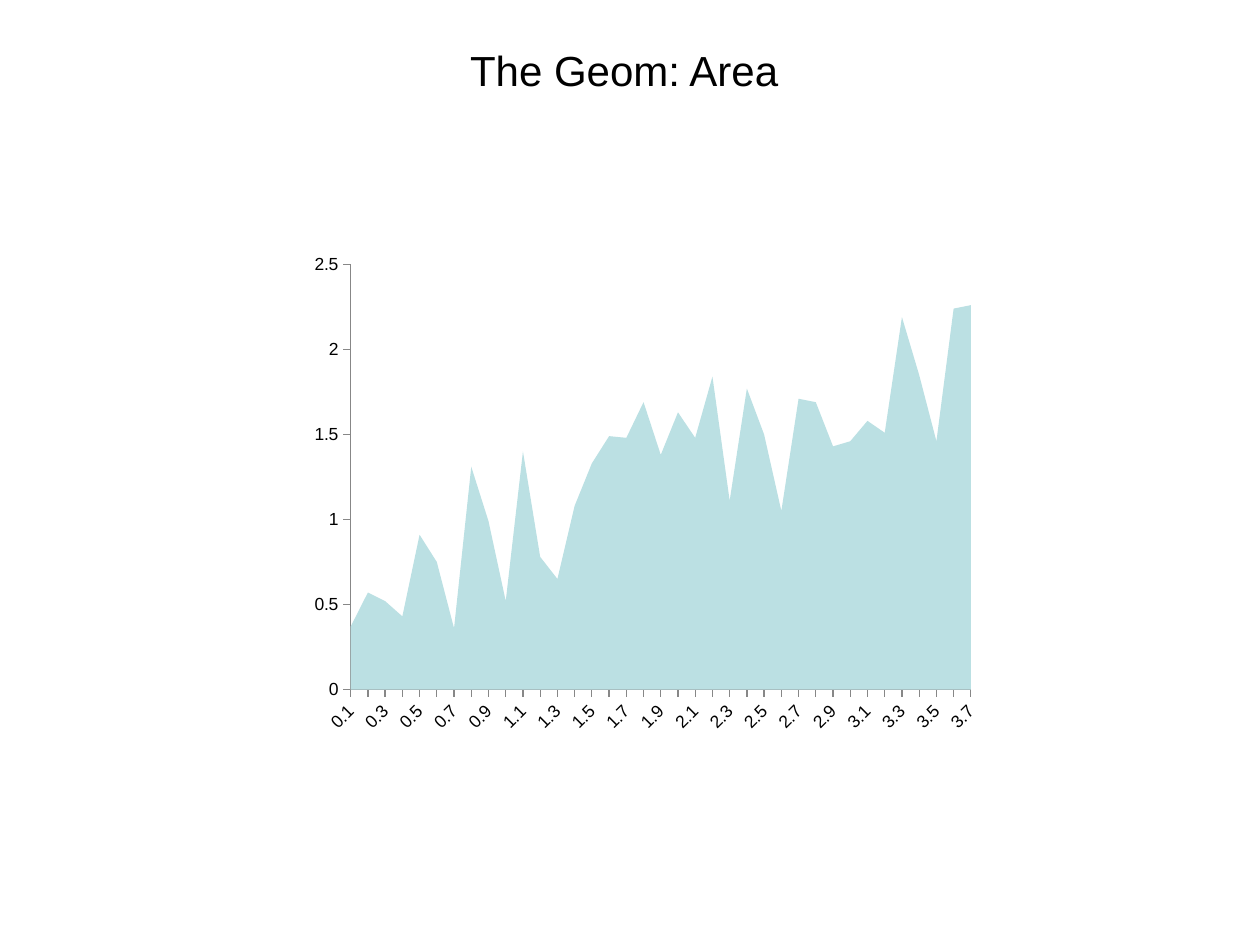
"""Build a slide with a centred title and a single-series area chart."""
from lxml import etree
from pptx import Presentation
from pptx import util as u
from pptx.chart import data as chart_data
from pptx.dml.color import RGBColor
from pptx.enum import chart as charts, text
from pptx.oxml.ns import qn

BLACK = RGBColor(0x00, 0x00, 0x00)
GREY = RGBColor(0x87, 0x87, 0x87)
PALE_TEAL = RGBColor(0xBB, 0xE0, 0xE3)

VALUES = [
    0.37, 0.57, 0.52, 0.43, 0.91, 0.75, 0.36, 1.31, 0.99, 0.52,
    1.4, 0.78, 0.65, 1.08, 1.33, 1.49, 1.48, 1.69, 1.38, 1.63,
    1.48, 1.84, 1.11, 1.77, 1.5, 1.05, 1.71, 1.69, 1.43, 1.46,
    1.58, 1.51, 2.19, 1.85, 1.46, 2.24, 2.26,
]
PLOT_SHARES = {"x": 0.07, "y": 0.04, "w": 0.9, "h": 0.85}


def set_format(target, values):
    for name, value in values.items():
        setattr(target, name, value)


presentation = Presentation()
set_format(presentation, {"slide_width": u.Inches(10), "slide_height": u.Inches(7.5)})
width, height = presentation.slide_width, presentation.slide_height
slide = presentation.slides.add_slide(presentation.slide_layouts[5])

title = slide.shapes.title
set_format(title, {
    "left": int(width * 0.05), "top": int(height * 0.04),
    "width": int(width * 0.9), "height": u.Inches(1.25),
})
set_format(title.text_frame, {
    "text": "The Geom: Area ", "word_wrap": True,
    "vertical_anchor": text.MSO_ANCHOR.TOP, "auto_size": text.MSO_AUTO_SIZE.NONE,
})
paragraph = title.text_frame.paragraphs[0]
paragraph.alignment = text.PP_ALIGN.CENTER
font = paragraph.runs[0].font
set_format(font, {"name": "Arial", "size": u.Pt(24)})
font.color.rgb = BLACK

area_data = chart_data.CategoryChartData()
area_data.categories = [f"{step / 10:g}" for step in range(1, len(VALUES) + 1)]
area_data.add_series("Series 1", VALUES)
chart = slide.shapes.add_chart(
    charts.XL_CHART_TYPE.AREA, u.Inches(2.4), u.Inches(1.94),
    u.Inches(5.47), u.Inches(3.97), area_data,
).chart
set_format(chart, {"has_legend": False, "has_title": False})
set_format(chart.font, {"name": "Arial", "size": u.Pt(10)})
chart.font.color.rgb = BLACK
chart.plots[0].vary_by_categories = False
fill = chart.plots[0].series[0].format.fill
fill.solid()
fill.fore_color.rgb = PALE_TEAL

for axis in (chart.category_axis, chart.value_axis):
    set_format(axis, {
        "has_major_gridlines": False, "has_minor_gridlines": False,
        "major_tick_mark": charts.XL_TICK_MARK.OUTSIDE,
        "minor_tick_mark": charts.XL_TICK_MARK.NONE,
    })
    axis.format.line.color.rgb = GREY
    axis.format.line.width = u.Pt(0.75)
set_format(chart.value_axis, {"minimum_scale": 0, "maximum_scale": 2.5, "major_unit": 0.5})
labels = chart.value_axis.tick_labels
set_format(labels, {"number_format": "General", "number_format_is_linked": False})

label_font = chart.category_axis.tick_labels.font
set_format(label_font, {"name": "Arial", "size": u.Pt(10)})
label_font.color.rgb = BLACK
plot_area = chart.plots[0]._element.getparent()
category_xml = chart.category_axis._element
category_xml.find(f"{qn('c:txPr')}/{qn('a:bodyPr')}").set("rot", "-2700000")
plot_area.find(f".//{qn('c:crossBetween')}").set("val", "midCat")

for layout in plot_area.findall(qn("c:layout")):
    plot_area.remove(layout)
layout = etree.Element(qn("c:layout"))
plot_area.insert(0, layout)
manual = etree.SubElement(layout, qn("c:manualLayout"))
settings = {"layoutTarget": "inner", "xMode": "edge", "yMode": "edge", **PLOT_SHARES}
for name, value in settings.items():
    etree.SubElement(manual, qn(f"c:{name}")).set("val", str(value))

presentation.save("out.pptx")
